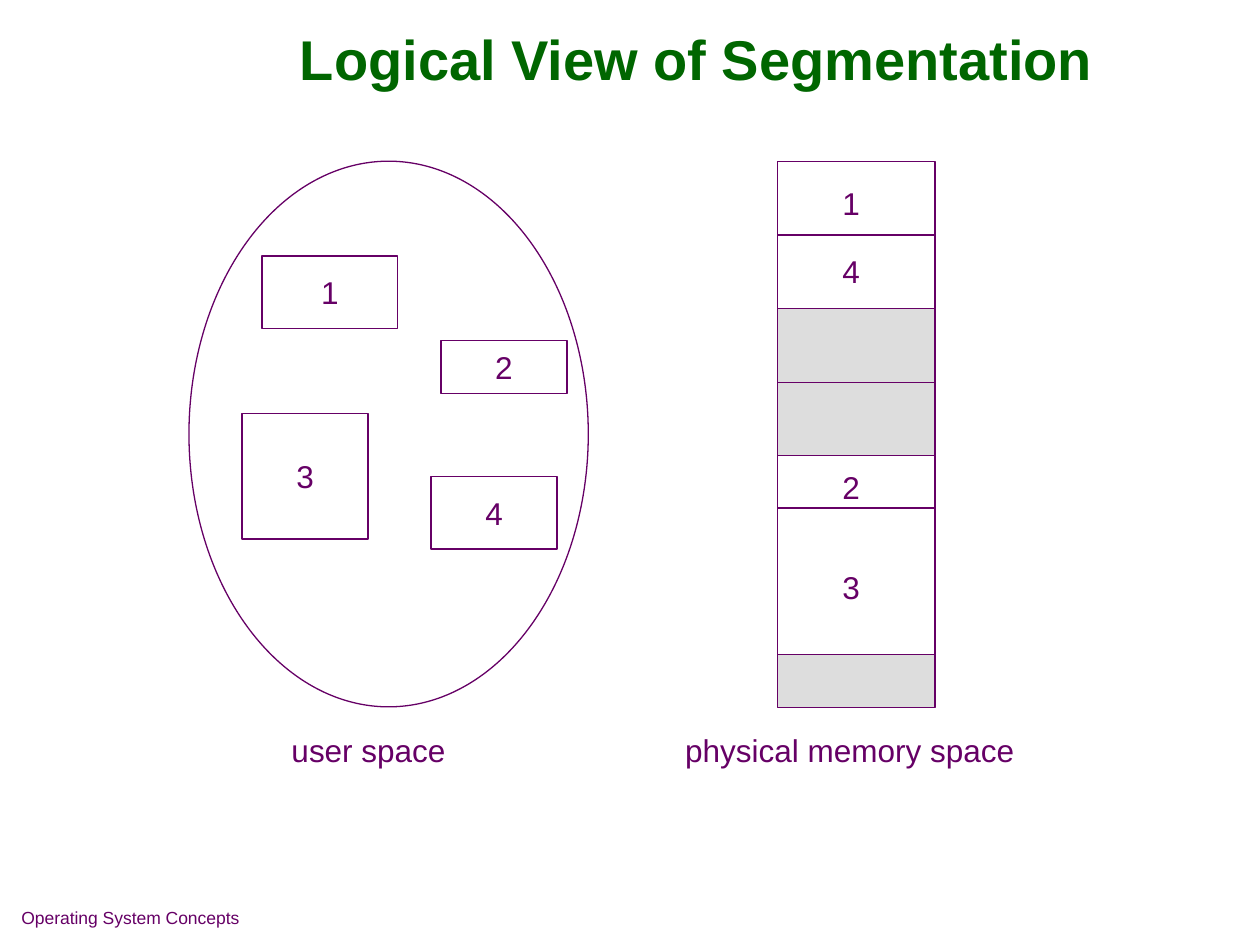
from lxml import etree
from pptx import Presentation
from pptx.dml.color import RGBColor
from pptx.enum.shapes import MSO_CONNECTOR, MSO_SHAPE
from pptx.enum.text import MSO_ANCHOR, PP_ALIGN
from pptx.oxml.ns import qn
from pptx.util import Cm, Pt

RECTANGLE = MSO_SHAPE.RECTANGLE
OVAL = MSO_SHAPE.OVAL
STRAIGHT = MSO_CONNECTOR.STRAIGHT
CENTER = PP_ALIGN.CENTER
LEFT = PP_ALIGN.LEFT
TOP = MSO_ANCHOR.TOP
MIDDLE = MSO_ANCHOR.MIDDLE

PURPLE = "660066"
GREEN = "006600"
WHITE = "FFFFFF"
GRAY = "DDDDDD"

LEFT_SIDE, RIGHT_SIDE = 1, 3
MEMORY_LEFT = 15.67
MEMORY_WIDTH = 3.18

USER_SEGMENTS = [
    ("1", 5.28, 5.16, 2.74, 1.47),
    ("3", 4.88, 8.33, 2.54, 2.54),
    ("2", 8.89, 6.86, 2.54, 1.07),
    ("4", 8.69, 9.6, 2.54, 1.47),
]
MEMORY_LABELS = [("1", 3.58), ("4", 4.95), ("2", 9.3), ("3", 11.33)]


def color(hex_value):
    return RGBColor.from_string(hex_value)


def write(frame, text, size=18, hex_value=PURPLE, bold=False,
          align=CENTER, anchor=MIDDLE, wrap=False):
    frame.text = text
    frame.word_wrap = wrap
    frame.vertical_anchor = anchor
    paragraph = frame.paragraphs[0]
    paragraph.alignment = align
    font = paragraph.runs[0].font
    font.name = "Arial"
    font.size = Pt(size)
    font.bold = bold
    font.color.rgb = color(hex_value)


def add_label(slide, text, left, top, width, height, **style):
    label = slide.shapes.add_textbox(Cm(left), Cm(top), Cm(width), Cm(height))
    write(label.text_frame, text, **style)


def add_area(slide, preset, left, top, width, height, fill=WHITE):
    area = slide.shapes.add_shape(preset, Cm(left), Cm(top), Cm(width), Cm(height))
    area.shadow.inherit = False
    area.fill.solid()
    area.fill.fore_color.rgb = color(fill)
    area.line.color.rgb = color(PURPLE)
    area.line.width = Pt(0.75)
    return area


def add_memory_block(slide, top, height, fill):
    return add_area(slide, RECTANGLE, MEMORY_LEFT, top, MEMORY_WIDTH, height, fill)


def add_divider(slide, top):
    divider = slide.shapes.add_connector(
        STRAIGHT, Cm(MEMORY_LEFT), Cm(top), Cm(MEMORY_LEFT + MEMORY_WIDTH), Cm(top))
    divider.line.color.rgb = color(PURPLE)
    divider.line.width = Pt(0.75)
    etree.SubElement(divider._element.spPr, qn("a:effectLst"))
    return divider


def add_halved_block(slide, top, height, fill):
    block = add_memory_block(slide, top, height, fill)
    divider = add_divider(slide, top + height / 2)
    divider.begin_connect(block, LEFT_SIDE)
    divider.end_connect(block, RIGHT_SIDE)


def add_user_space(slide):
    add_area(slide, OVAL, 3.81, 3.25, 8.05, 11)
    for number, *bounds in USER_SEGMENTS:
        segment = add_area(slide, RECTANGLE, *bounds)
        write(segment.text_frame, number)
    add_label(slide, "user space", 5.54, 14.61, 3.78, 1.02)


def add_physical_memory(slide):
    add_halved_block(slide, 3.25, 2.97, WHITE)
    add_halved_block(slide, 6.22, 2.97, GRAY)
    add_memory_block(slide, 9.18, 4.02, WHITE)
    add_memory_block(slide, 13.2, 1.06, GRAY)
    add_divider(slide, 10.24)
    for number, top in MEMORY_LABELS:
        add_label(slide, number, 16.73, top, 0.86, 1.02)
    add_label(slide, "physical memory space", 13.56, 14.61, 7.14, 1.02)


def main():
    presentation = Presentation()
    presentation.slide_width = Cm(25.4)
    presentation.slide_height = Cm(19.05)
    slide = presentation.slides.add_slide(presentation.slide_layouts[6])
    add_label(slide, "Operating System Concepts", 0.18, 18.16, 8.05, 0.89,
              size=10, align=LEFT, anchor=TOP, wrap=True)
    add_label(slide, "Logical View of Segmentation", 3.25, 0, 21.59, 2.34,
              size=32, hex_value=GREEN, bold=True, wrap=True)
    add_user_space(slide)
    add_physical_memory(slide)
    presentation.save("out.pptx")


if __name__ == "__main__":
    main()
